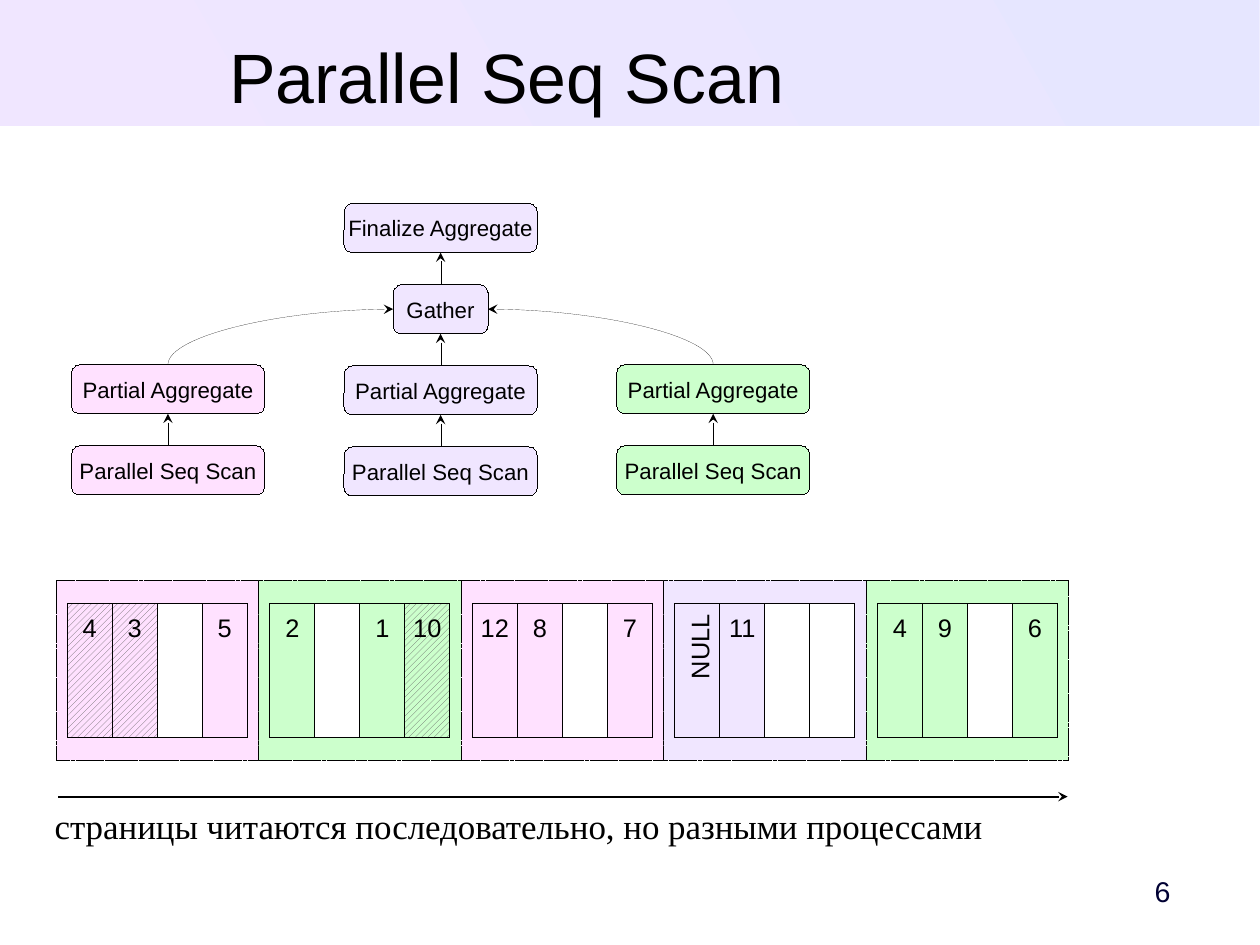
from pptx import Presentation
from pptx.dml.color import RGBColor
from pptx.enum.dml import MSO_LINE, MSO_PATTERN
from pptx.enum.shapes import MSO_CONNECTOR, MSO_SHAPE
from pptx.enum.text import MSO_ANCHOR, PP_ALIGN
from pptx.oxml.ns import qn
from pptx.util import Inches, Pt
from lxml.etree import SubElement

PINK, GREEN, LILAC = "FFE1FF", "CCFFCC", "F0E6FF"
BLACK, WHITE, GREY = "000000", "FFFFFF", "666666"
HAIR = 0.01


def color(code):
    return RGBColor.from_string(code)


def write(shape, text, size, align=PP_ALIGN.CENTER, anchor=MSO_ANCHOR.TOP,
          top=0.05, font="Arial", ink=BLACK):
    frame = shape.text_frame
    frame.word_wrap = False
    frame.vertical_anchor = anchor
    frame.margin_left = frame.margin_right = Inches(0.1)
    frame.margin_top, frame.margin_bottom = Inches(top), Inches(0.05)
    para = frame.paragraphs[0]
    para.text = text
    para.alignment = align
    para.font.size = Pt(size)
    para.font.name = font
    para.font.color.rgb = color(ink)


def label(slide, box, text, size, **style):
    shape = slide.shapes.add_textbox(*map(Inches, box))
    write(shape, text, size, **style)


def block(slide, box, fill, kind=MSO_SHAPE.RECTANGLE):
    shape = slide.shapes.add_shape(kind, *map(Inches, box))
    shape.shadow.inherit = False
    shape.fill.solid()
    shape.fill.fore_color.rgb = color(fill)
    shape.line.color.rgb = color(BLACK)
    shape.line.width = Pt(HAIR)
    return shape


def arrow(slide, tip, tail, width=HAIR, curved=False):
    """The line starts at its tip, so the arrowhead is the head end."""
    kind = MSO_CONNECTOR.CURVE if curved else MSO_CONNECTOR.STRAIGHT
    line = slide.shapes.add_connector(kind, *map(Inches, tip + tail))
    line.line.color.rgb = color(BLACK)
    line.line.width = Pt(width)
    props = line._element.spPr
    if curved:
        props.find(qn("a:prstGeom")).set("prst", "curvedConnector2")
    SubElement(props.find(qn("a:ln")), qn("a:headEnd"), type="stealth")
    SubElement(props, qn("a:effectLst"))


def header(slide, box):
    band = block(slide, box, LILAC)
    band.line.fill.background()
    band.fill.gradient()
    band.fill.gradient_angle = 210
    for stop, code in zip(band.fill.gradient_stops, ("E6E6FF", LILAC)):
        stop.color.rgb = color(code)
    left, top = box[:2]
    label(slide, (left + 0.47, top + 0.29, 7.93, 0.71),
          "Parallel Seq Scan", 44, top=0)


def node(slide, mid, top, text, fill, width=1.69):
    shape = block(slide, (mid - width / 2, top, width, 0.43), fill,
                  MSO_SHAPE.ROUNDED_RECTANGLE)
    shape.adjustments[0] = 0.17
    write(shape, text, 14, anchor=MSO_ANCHOR.MIDDLE)


def plan(slide, box):
    left, top, width, height = box
    high, gather = 0.43, 0.83
    step = (height - high) / 3
    rows = [top + step * i for i in range(4)]
    mid = left + width / 2
    sides = (left + 0.84, left + width - 0.84)

    # Steps of the leader, then of each process
    node(slide, mid, rows[0], "Finalize Aggregate", LILAC)
    node(slide, mid, rows[1], "Gather", LILAC, gather)
    for x, lift, fill in ((sides[0], 0.01, PINK), (mid, 0, LILAC),
                          (sides[1], 0.01, GREEN)):
        upper, lower = rows[2] - lift, rows[3] - lift
        node(slide, x, upper, "Partial Aggregate", fill)
        node(slide, x, lower, "Parallel Seq Scan", fill)
        arrow(slide, (x, upper + high), (x, lower))

    # Links into and out of Gather
    for i in (0, 1):
        arrow(slide, (mid, rows[i] + high), (mid, rows[i + 1]))
    for x, sign in zip(sides, (-1, 1)):
        arrow(slide, (mid + sign * gather / 2, rows[1] + high / 2),
              (x, rows[2] - 0.01), curved=True)


def cell(slide, box, text, fill, hatch):
    left, top, width, height = box
    turned = text == "NULL"
    if turned:
        mid, half = left + width / 2, top + height / 2
        box = (mid - height / 2, half - width / 2, height, width)
    shape = block(slide, box, fill if text else WHITE)
    if turned:
        shape.rotation = 270
    if hatch:
        shape.fill.patterned()
        shape.fill.pattern = MSO_PATTERN.WIDE_UPWARD_DIAGONAL
        shape.fill.fore_color.rgb = color(GREY)
        shape.fill.back_color.rgb = color(fill)
    if text:
        align = PP_ALIGN.RIGHT if turned else PP_ALIGN.CENTER
        write(shape, text, 16, align, top=0.08)


def page(slide, box, fill, items, dead):
    left, top, width, height = box
    frame = block(slide, box, fill)
    frame.line.dash_style = MSO_LINE.SQUARE_DOT
    wide, high = width * 2 / 9, height * 0.75
    first = left + (width - 4 * wide) / 2
    for i, text in enumerate(items):
        cell(slide, (first + i * wide, top + height / 8, wide, high),
             text, fill, i in dead)


def pages(slide, box):
    left, top, width, height = box
    data = [
        (PINK, ("4", "3", "", "5"), (0, 1)),
        (GREEN, ("2", "", "1", "10"), (3,)),
        (PINK, ("12", "8", "", "7"), ()),
        (LILAC, ("NULL", "11", "", ""), ()),
        (GREEN, ("4", "9", "", "6"), ()),
    ]
    wide = width / len(data)
    for i, (fill, items, dead) in enumerate(data):
        page(slide, (left + i * wide, top, wide, height), fill, items, dead)

    # Reading order
    below = top + height + 0.32
    arrow(slide, (left + width - 0.01, below), (left + 0.02, below), 1.42)
    label(slide, (left - 0.11, below + 0.02, 8.32, 0.44),
          "страницы читаются последовательно, но разными процессами",
          22, align=PP_ALIGN.LEFT, font="Times New Roman")


def footer(slide, box):
    label(slide, box, "6", 18, align=PP_ALIGN.RIGHT,
          anchor=MSO_ANCHOR.MIDDLE, ink="000033")


def main():
    deck = Presentation()
    # A page of 28 by 21 cm
    deck.slide_width = Inches(28 / 2.54)
    deck.slide_height = Inches(21 / 2.54)
    slide = deck.slides.add_slide(deck.slide_layouts[6])
    header(slide, (0, 0, 11.02, 1.1))
    plan(slide, (0.63, 1.78, 6.45, 2.56))
    pages(slide, (0.49, 5.08, 8.86, 1.57))
    footer(slide, (9.47, 7.56, 0.87, 0.47))
    deck.save("out.pptx")


if __name__ == "__main__":
    main()
